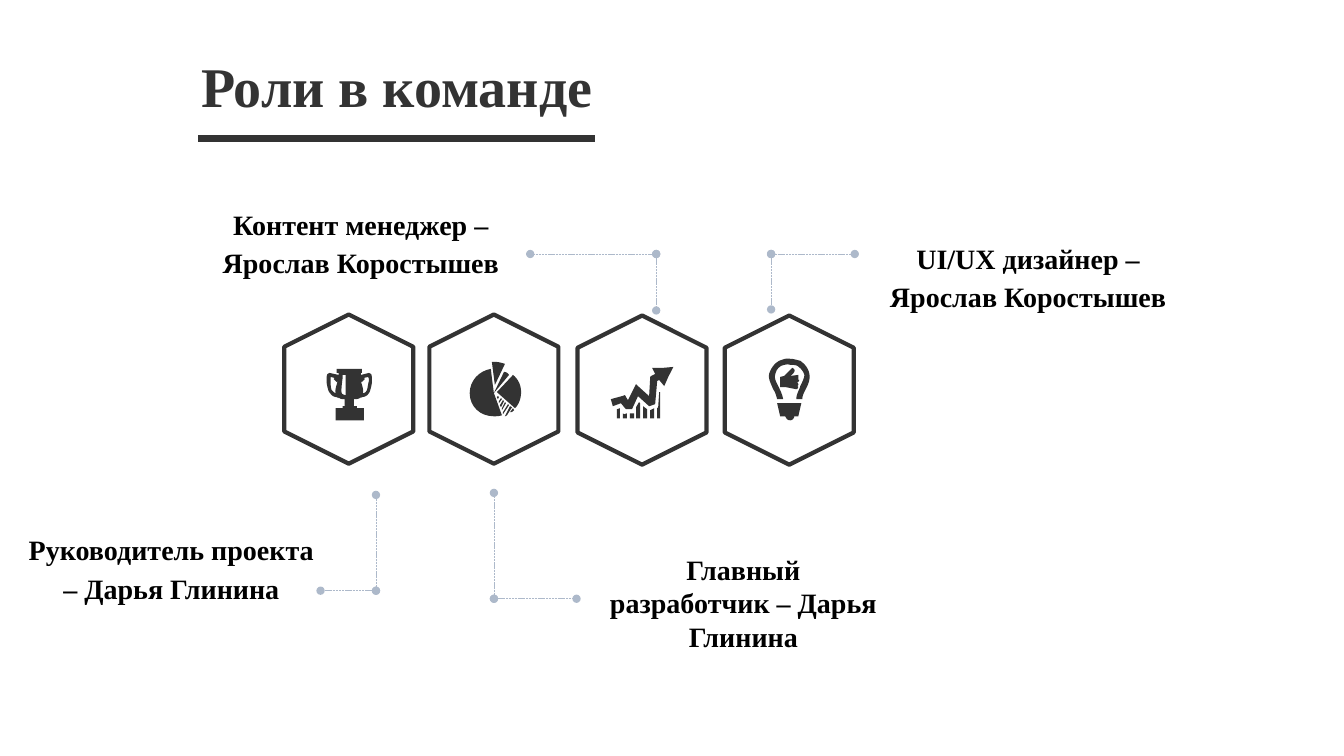
from pptx import Presentation
from pptx import util as u
from pptx.dml.color import RGBColor
from pptx.enum import dml, shapes, text
from pptx.oxml import parse_xml
from pptx.oxml.ns import nsdecls, qn

CELL = u.Inches(1 / 12)
COLS, ROWS = 160, 90
ICON_UNIT = u.Inches(0.01)
CURVE_STEPS = 8
FONT = "Times New Roman"
COLORS = {"dark": "333333", "text": "000000", "guide": "ADB9CA", "back": "FFFFFF"}

TROPHY = [
    [(12, 4), (12, 6), (3, 4), (1, 5), (0, 6, 0, 9, 0, 12), (0, 15, 1, 19, 2, 22),
     (4, 25, 6, 28, 10, 28), (12, 29), (12, 28), (13, 30, 15, 30, 18, 30), (18, 37),
     (16, 37), (16, 39), (9, 39), (9, 51), (37, 51), (37, 39), (30, 39), (30, 37),
     (27, 37), (27, 30), (30, 30, 32, 30, 34, 28), (34, 29), (35, 28),
     (39, 28, 42, 25, 43, 22), (44, 19, 45, 15, 45, 12), (45, 9, 45, 6, 44, 5),
     (42, 4), (34, 6), (34, 4), (35, 4), (35, 0), (10, 0), (10, 4)],
    [(36, 24), (37, 21, 35, 16, 34, 12), (35, 13), (38, 10), (37, 9), (41, 8),
     (42, 9, 42, 10, 42, 12), (41, 15, 41, 18, 40, 21), (39, 23, 38, 24, 36, 24)],
    [(11, 12), (10, 16, 8, 21, 9, 24), (8, 24, 7, 23, 5, 21), (4, 18, 4, 15, 4, 12),
     (4, 8), (8, 9), (7, 10), (10, 13)],
    [(19, 6), (19, 26), (19, 26, 16, 26, 15, 24), (14, 21, 16, 9, 16, 8), (16, 6)],
]
PIE = [
    [(43, 13), (48, 17, 51, 23, 51, 30), (51, 36, 49, 42, 45, 46), (27, 30)],
    [(44, 48), (43, 49, 42, 50, 40, 50), (43, 46)],
    [(37, 53), (42, 45), (40, 44), (35, 54)],
    [(33, 52), (39, 43), (38, 42), (33, 50)],
    [(32, 48), (36, 41), (35, 40), (32, 46)],
    [(31, 45), (34, 39), (33, 38), (30, 43)],
    [(29, 41), (32, 37), (31, 36), (29, 39)],
    [(28, 37), (29, 35), (28, 34), (27, 35)],
    [(34, 10), (24, 31), (24, 31, 22, 16, 21, 7), (9, 9, 0, 19, 0, 31),
     (0, 44, 10, 54, 24, 54), (27, 54, 29, 54, 32, 53), (24, 31), (39, 13),
     (38, 11, 36, 10, 34, 10)],
    [(25, 0), (22, 0), (25, 23), (35, 2), (32, 1, 28, 0, 25, 0)],
]
GROWTH = [
    [(46, 51), (49, 51), (49, 25), (48, 25), (47, 40), (46, 41)],
    [(62, 0), (57, 10), (53, 19), (48, 13), (46, 14), (44, 37), (38, 39), (27, 29),
     (21, 42), (15, 42), (10, 36), (2, 39), (0, 32), (11, 29), (14, 28), (17, 33),
     (23, 21), (25, 17), (28, 20), (38, 29), (39, 12), (39, 10), (40, 9), (44, 7),
     (41, 1), (51, 1)],
    [(12, 51), (16, 51), (16, 46), (13, 47), (12, 46)],
    [(6, 51), (9, 51), (9, 41), (6, 42)],
    [(19, 51), (23, 51), (23, 46), (19, 46)],
    [(25, 51), (29, 51), (29, 36), (28, 35), (25, 40)],
    [(32, 51), (36, 51), (36, 42), (32, 39)],
    [(39, 51), (43, 51), (43, 41), (39, 43)],
]
BULB = [
    [(9, 45), (33, 45), (30, 58), (26, 58), (26, 60, 24, 62, 22, 62),
     (19, 62, 18, 60, 17, 58), (12, 58)],
    [(30, 17), (30, 22), (31, 22), (30, 24), (29, 24), (30, 26), (30, 27), (29, 28),
     (30, 29), (29, 31), (27, 31), (17, 29), (12, 29), (12, 19), (16, 18), (24, 10),
     (29, 12, 25, 16, 22, 18)],
    [(9, 41), (15, 41), (14, 36, 12, 32, 10, 28), (8, 24, 6, 20, 7, 17),
     (8, 12, 10, 10, 13, 8), (16, 7, 19, 6, 22, 7), (24, 7, 27, 7, 29, 8),
     (32, 10, 35, 13, 36, 17), (36, 20, 34, 24, 32, 28), (31, 32, 28, 36, 28, 41),
     (34, 41), (34, 37, 36, 34, 38, 30), (40, 26, 42, 21, 41, 16),
     (40, 10, 36, 6, 32, 3), (28, 2, 25, 1, 22, 1), (18, 0, 14, 2, 11, 3),
     (6, 6, 3, 10, 1, 16), (0, 21, 3, 26, 5, 31), (7, 34, 8, 37, 9, 41)],
]

ROLES = [
    {"label": "Руководитель проекта – Дарья Глинина", "box": (1.92, 62.28, 36.96, 10.44),
     "spacing": 1.14, "hexagon": (32.64, 38.64), "icon": TROPHY, "icon_at": (38.88, 43.92),
     "guide": (44.76, 70.32, 38.16, 58.92)},
    {"label": "Главный разработчик – Дарья Глинина", "box": (71.28, 65.16, 34.44, 16.56),
     "spacing": 1.0, "hexagon": (49.92, 38.64), "icon": PIE, "icon_at": (55.92, 43.08),
     "guide": (58.8, 71.28, 68.64, 58.68)},
    {"label": "Контент менеджер – Ярослав Коростышев", "box": (24.6, 23.52, 36.72, 15),
     "spacing": 1.14, "hexagon": (67.56, 38.76), "icon": GROWTH, "icon_at": (72.72, 43.68),
     "guide": (78.12, 30.24, 63.12, 36.96)},
    {"label": "UI/UX дизайнер – Ярослав Коростышев", "box": (104.04, 27.6, 36.72, 10.44),
     "spacing": 1.14, "hexagon": (85.08, 38.76), "icon": BULB, "icon_at": (91.44, 42.6),
     "guide": (91.8, 30.24, 101.76, 36.84)},
]


def cells(*counts):
    return [u.Emu(round(n * CELL)) for n in counts]


def color(name):
    return RGBColor.from_string(COLORS[name])


def write(tf, words, size, shade):
    p = tf.paragraphs[0]
    p.alignment = text.PP_ALIGN.CENTER
    r = p.add_run()
    r.text = words
    r.font.name, r.font.size, r.font.bold = FONT, u.Pt(size), True
    r.font.color.rgb = color(shade)
    return p


def add_title(slide, words):
    sp = slide.shapes.title
    sp.left, sp.top, sp.width, sp.height = cells(22.44, 5.52, 49.56, 9.24)
    tf = sp.text_frame
    tf.word_wrap = False
    tf.auto_size = text.MSO_AUTO_SIZE.SHAPE_TO_FIT_TEXT
    write(tf, words, 40, "dark")


def add_label(slide, words, box, spacing):
    tf = slide.shapes.add_textbox(*cells(*box)).text_frame
    tf.word_wrap = True
    write(tf, words, 20, "text").line_spacing = spacing


def add_line(slide, ends, shade, width):
    line = slide.shapes.add_connector(shapes.MSO_CONNECTOR.STRAIGHT, *cells(*ends))
    line.line.color.rgb = color(shade)
    line.line.width = u.Pt(width)
    line._element.spPr.append(parse_xml(f"<a:effectLst {nsdecls('a')}/>"))
    return line


def add_guide(slide, corner_x, corner_y, end_x, end_y):
    for end in ((end_x, corner_y), (corner_x, end_y)):
        line = add_line(slide, (corner_x, corner_y, *end), "guide", 0.5)
        line.line.dash_style = dml.MSO_LINE.SQUARE_DOT
        ln = line._element.spPr.find(qn("a:ln"))
        for tag in ("headEnd", "tailEnd"):
            ln.append(parse_xml(f'<a:{tag} {nsdecls("a")} type="oval"/>'))


def add_hexagon(slide, left, top):
    sp = slide.shapes.add_shape(shapes.MSO_SHAPE.HEXAGON, *cells(left, top, 17.76, 15.36))
    sp.rotation = 270
    sp.shadow.inherit = False
    sp.fill.background()
    sp.line.color.rgb = color("dark")
    sp.line.width = u.Pt(3)


def flatten(contour):
    points = [contour[0]]
    for step in contour[1:]:
        if len(step) == 2:
            points.append(step)
            continue
        knots = [points[-1], step[:2], step[2:4], step[4:]]
        for i in range(1, CURVE_STEPS + 1):
            t = i / CURVE_STEPS
            weights = ((1 - t) ** 3, 3 * t * (1 - t) ** 2, 3 * t * t * (1 - t), t ** 3)
            points.append(tuple(sum(w * k[axis] for w, k in zip(weights, knots))
                                for axis in (0, 1)))
    return [(x * ICON_UNIT, y * ICON_UNIT) for x, y in points]


def add_icon(slide, contours, at):
    outlines = [flatten(contour) for contour in contours]
    builder = slide.shapes.build_freeform(*outlines[0][0])
    for i, outline in enumerate(outlines):
        if i:
            builder.move_to(*outline[0])
        builder.add_line_segments(outline[1:], close=True)
    sp = builder.convert_to_shape(*cells(*at))
    sp.shadow.inherit = False
    sp.fill.solid()
    sp.fill.fore_color.rgb = color("dark")
    sp.line.fill.background()


def main():
    prs = Presentation()
    prs.slide_width, prs.slide_height = cells(COLS, ROWS)
    slide = prs.slides.add_slide(prs.slide_layouts[5])
    slide.background.fill.solid()
    slide.background.fill.fore_color.rgb = color("back")
    add_title(slide, "Роли в команде")
    add_line(slide, (70.8, 16.44, 23.52, 16.44), "dark", 5)
    for role in ROLES:
        add_hexagon(slide, *role["hexagon"])
        add_icon(slide, role["icon"], role["icon_at"])
        add_guide(slide, *role["guide"])
        add_label(slide, role["label"], role["box"], role["spacing"])
    prs.save("out.pptx")


if __name__ == "__main__":
    main()
